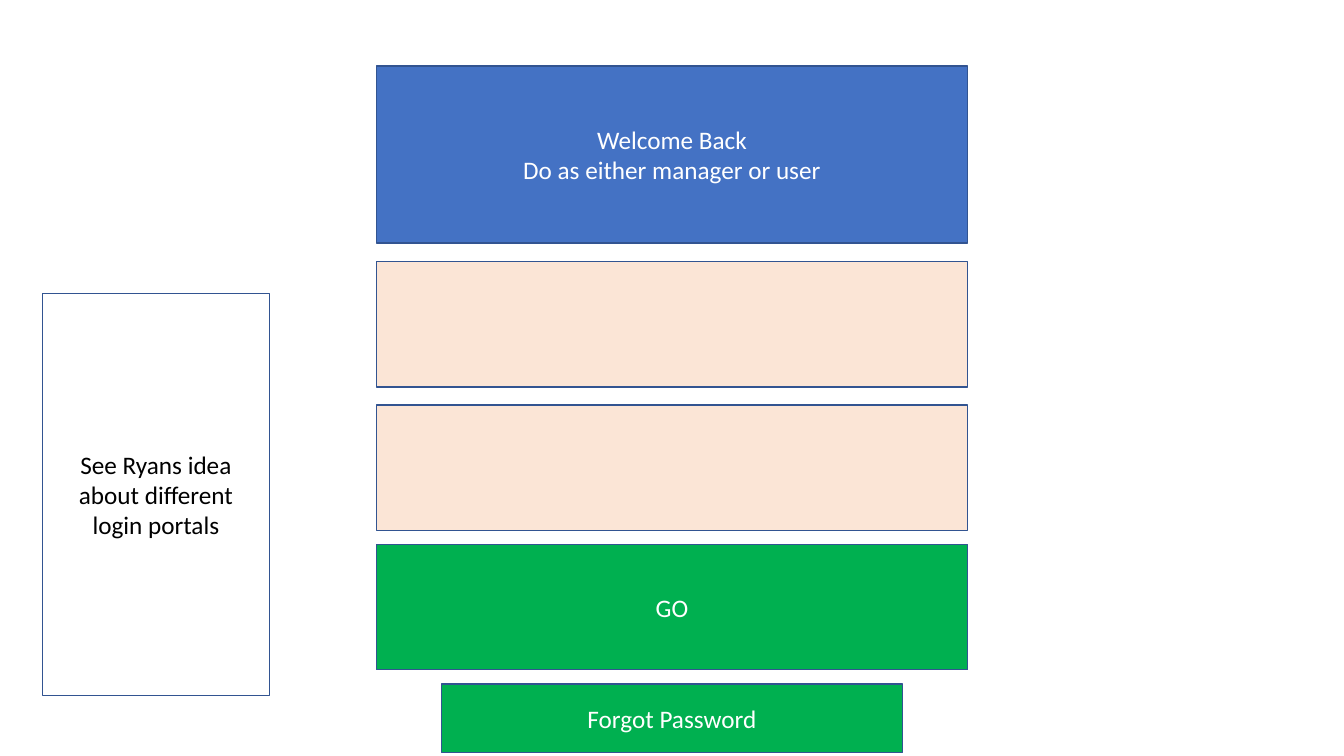
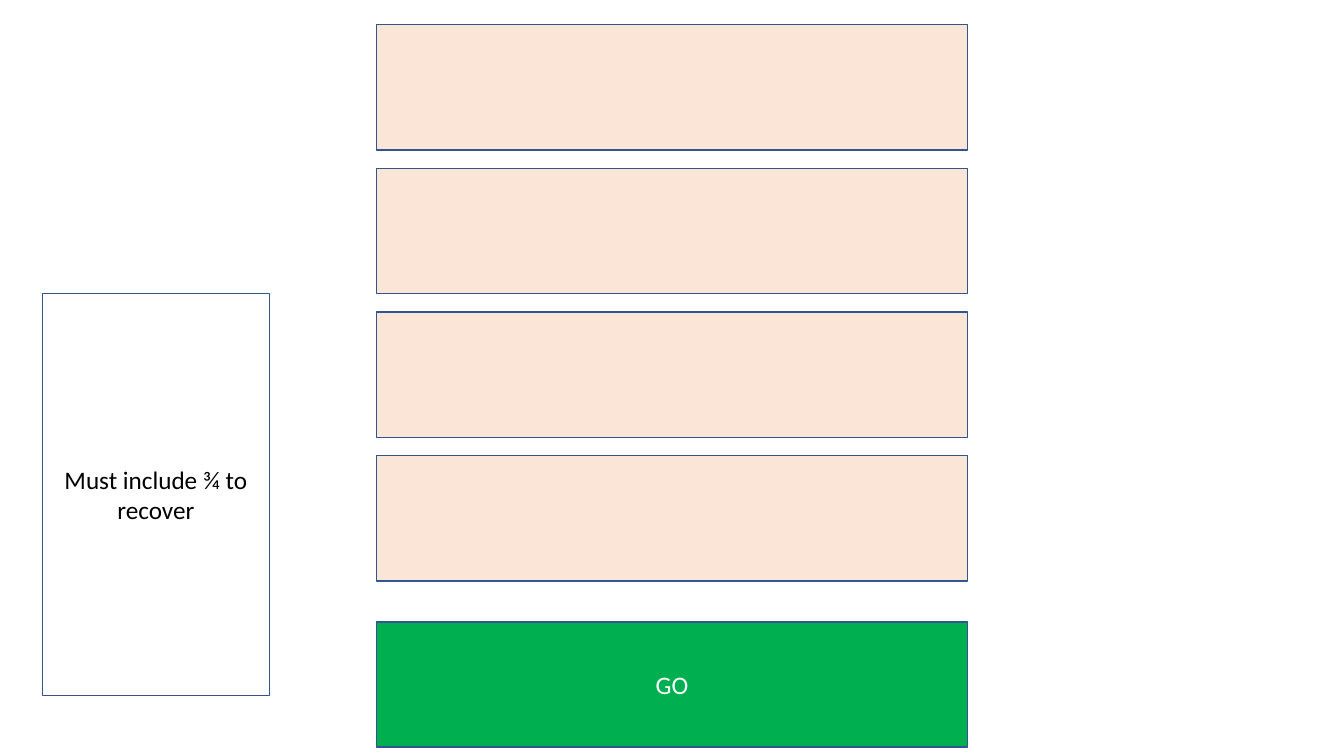
from pptx import Presentation
from pptx.dml.color import RGBColor
from pptx.enum.shapes import MSO_SHAPE as Shape
from pptx.enum.text import MSO_ANCHOR as Anchor, PP_ALIGN as Align
from pptx.util import Cm, Pt

# Shared colours and sizes (lengths in cm)
BLUE, PEACH, GREEN = "4472C4", "FBE5D6", "00B050"
EDGE, WHITE, BLACK = "325491", "FFFFFF", "000000"
WIDE, HIGH = 33.87, 19.05
FORM_W, ROW_H, STEP = 14.9, 3.16, 3.62


def tint(code):
    return RGBColor.from_string(code)


class Deck:
    """Holds the style and the current slide."""

    font, size = "Calibri", Pt(18)

    def __init__(self):
        self.prs = Presentation()
        self.prs.slide_width, self.prs.slide_height = Cm(WIDE), Cm(HIGH)
        self.slide = None

    def page(self):
        self.slide = self.prs.slides.add_slide(self.prs.slide_layouts[6])

    def box(self, left, top, width, height, fill=None):
        box = self.slide.shapes.add_shape(
            Shape.RECTANGLE, Cm(left), Cm(top), Cm(width), Cm(height))
        box.shadow.inherit = False
        if fill:
            box.fill.solid()
            box.fill.fore_color.rgb = tint(fill)
        else:
            box.fill.background()
        box.line.color.rgb = tint(EDGE)
        box.line.width = Pt(1)
        return box

    def label(self, box, text, ink=WHITE):
        frame = box.text_frame
        frame.word_wrap = True
        frame.vertical_anchor = Anchor.MIDDLE
        frame.text = text
        for para in frame.paragraphs:
            para.alignment = Align.CENTER
            for run in para.runs:
                run.font.name, run.font.size = self.font, self.size
                run.font.color.rgb = tint(ink)

    def row(self, top, fill, height=ROW_H, width=FORM_W):
        """A form row, centred on the slide."""
        return self.box((WIDE - width) / 2, top, width, height, fill)

    def button(self, text, top, fill=GREEN, height=ROW_H, width=FORM_W):
        self.label(self.row(top, fill, height, width), text)

    def fields(self, count, top):
        """Input fields stacked at equal steps."""
        for i in range(count):
            self.row(top + i * STEP, PEACH)

    def note(self, text):
        self.label(self.box(1.07, 7.39, 5.72, 10.13), text, BLACK)


def main():
    deck = Deck()

    # Login form
    deck.page()
    deck.button("Welcome Back\nDo as either manager or user", 1.66, BLUE, 4.47)
    deck.fields(2, 6.59)
    deck.button("GO", 13.72)
    deck.button("Forgot Password", 17.24, height=1.73, width=11.61)
    deck.note("See Ryans idea about different login portals")

    # Password recovery form
    deck.page()
    deck.fields(4, 0.62)
    deck.button("GO", 15.67)
    deck.note("Must include ¾ to recover")

    deck.prs.save("out.pptx")


if __name__ == "__main__":
    main()
